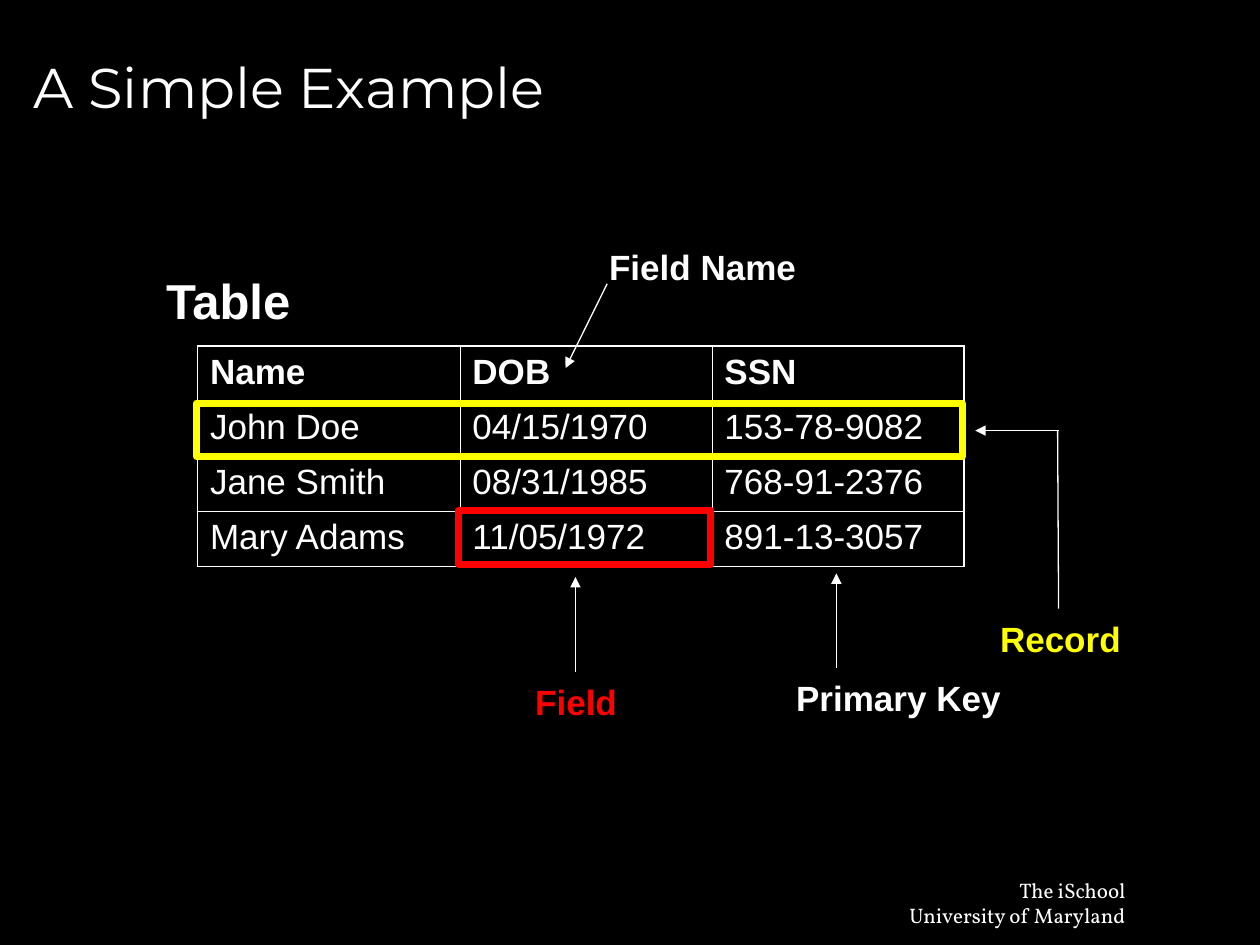
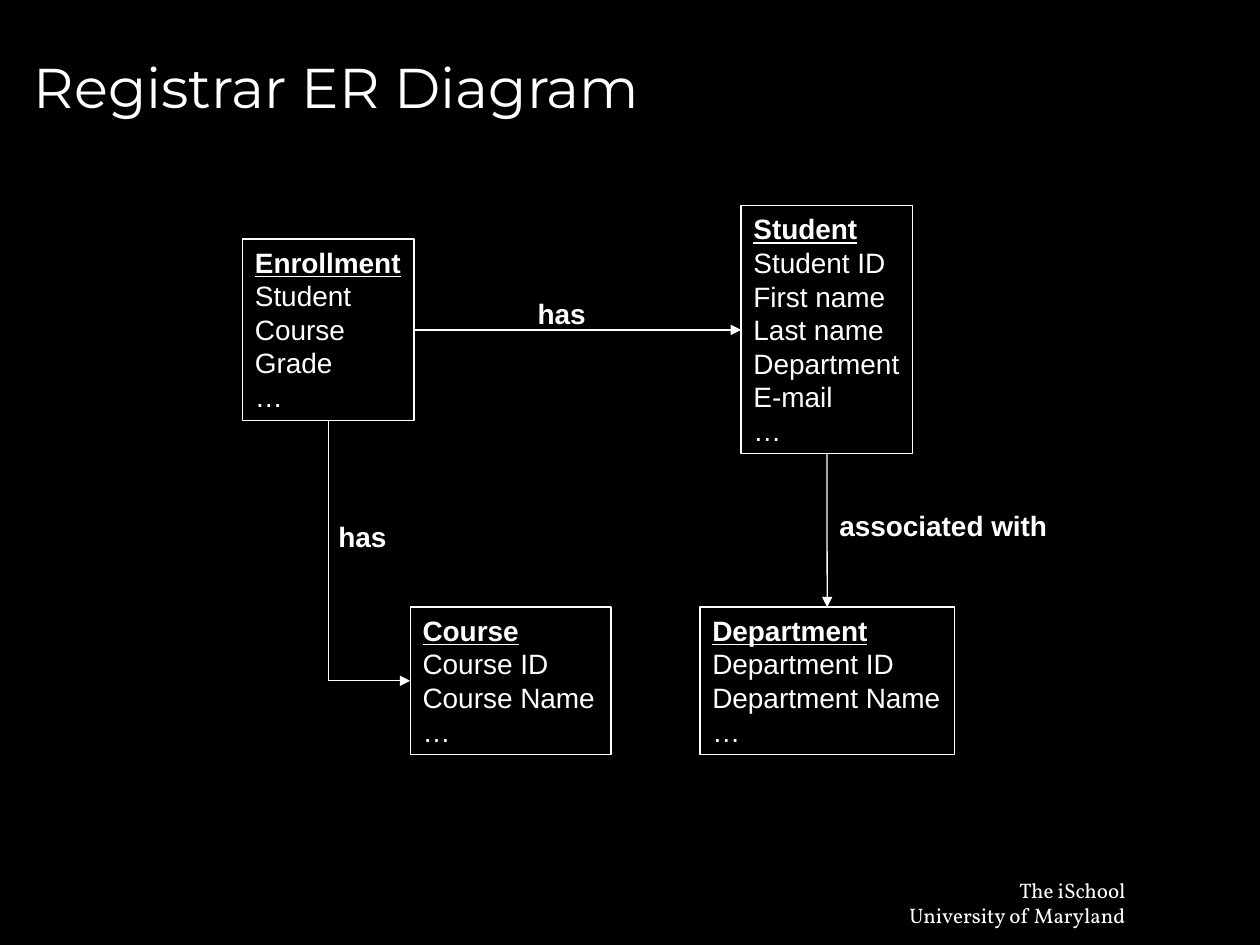
"""Build two database slides: a sample table and a registrar ER diagram."""
from lxml import etree
from pptx import Presentation
from pptx.dml.color import RGBColor
from pptx.enum import shapes, text
from pptx.oxml.ns import qn
from pptx.util import Cm, Pt

BLACK = RGBColor(0, 0, 0)
WHITE = RGBColor(255, 255, 255)
RED = RGBColor(255, 0, 0)
YELLOW = RGBColor(255, 255, 0)


def write(tf, lines, size, color=WHITE, bold=False, font="Arial", align=text.PP_ALIGN.LEFT, fit=True):
    if fit:
        tf.word_wrap = False
        tf.auto_size = text.MSO_AUTO_SIZE.SHAPE_TO_FIT_TEXT
        tf.vertical_anchor = text.MSO_ANCHOR.TOP
    for i, line in enumerate(lines):
        p = tf.paragraphs[0] if i == 0 else tf.add_paragraph()
        p.alignment = align
        r = p.add_run()
        r.text = line
        r.font.size = Pt(size)
        r.font.name = font
        r.font.bold = bold
        r.font.color.rgb = color


def connect(s, x1, y1, x2, y2, arrow=True):
    c = s.shapes.add_connector(shapes.MSO_CONNECTOR.STRAIGHT, Cm(x1), Cm(y1), Cm(x2), Cm(y2))
    c.line.color.rgb = WHITE
    c.line.width = Pt(0.75)
    spPr = c._element.spPr
    if arrow:
        etree.SubElement(spPr.find(qn("a:ln")), qn("a:tailEnd"), type="triangle")
    etree.SubElement(spPr, qn("a:effectLst"))
    return c


prs = Presentation()
prs.slide_width, prs.slide_height = Cm(25.4), Cm(19.05)

slides = []
for title in ("A Simple Example", "Registrar ER Diagram"):
    s = prs.slides.add_slide(prs.slide_layouts[6])
    s.background.fill.solid()
    s.background.fill.fore_color.rgb = BLACK
    tf = s.shapes.add_textbox(Cm(18), Cm(17.57), Cm(4.94), Cm(1.27)).text_frame
    write(tf, ["The iSchool", "University of Maryland"], 12, font="Vollkorn", align=text.PP_ALIGN.RIGHT)
    tf = s.shapes.add_textbox(Cm(0.43), Cm(0.32), Cm(24.13), Cm(2.84)).text_frame
    tf.word_wrap = True
    tf.vertical_anchor = text.MSO_ANCHOR.MIDDLE
    write(tf, [title], 32, font="Montserrat", fit=False)
    slides.append(s)
example, diagram = slides

rows = [
    ("Name", "DOB", "SSN"),
    ("John Doe", "04/15/1970", "153-78-9082"),
    ("Jane Smith", "08/31/1985", "768-91-2376"),
    ("Mary Adams", "11/05/1972", "891-13-3057"),
]
col_widths = (5.29, 5.08, 5.08)
row_height = 1.11
table = example.shapes.add_table(
    len(rows), len(col_widths), Cm(3.98), Cm(6.98), Cm(sum(col_widths)), Cm(row_height * len(rows))
).table
table.first_row = table.horz_banding = False
for j, width in enumerate(col_widths):
    table.columns[j].width = Cm(width)
for i, row in enumerate(rows):
    table.rows[i].height = Cm(row_height)
    for j, value in enumerate(row):
        cell = table.cell(i, j)
        write(cell.text_frame, [value], 20, bold=i == 0, fit=False)
        tcPr = cell._tc.get_or_add_tcPr()
        outer = {"L": j == 0, "R": j == len(row) - 1, "T": i == 0, "B": i == len(rows) - 1}
        for side, is_outer in outer.items():
            ln = etree.SubElement(tcPr, qn(f"a:ln{side}"), w=str(Pt(1.08 if is_outer else 0.45)))
            fill = etree.SubElement(ln, qn("a:solidFill"))
            etree.SubElement(fill, qn("a:srgbClr"), val=str(WHITE))
        cell.fill.background()

for x, y, w, h, label, size, color in (
    (10.54, 13.59, 2.2, 1.11, "Field", 20, RED),
    (12.03, 4.83, 4.4, 1.11, "Field Name", 20, WHITE),
    (19.91, 12.32, 3, 1.11, "Record", 20, YELLOW),
    (15.8, 13.51, 4.75, 1.11, "Primary Key", 20, WHITE),
    (3.1, 5.32, 3.1, 1.45, "Table", 28, WHITE),
):
    tf = example.shapes.add_textbox(Cm(x), Cm(y), Cm(w), Cm(h)).text_frame
    write(tf, [label], size, color, bold=True)

for x1, y1, x2, y2, arrow in (
    (11.6, 13.54, 11.6, 11.63, True),
    (12.24, 5.72, 11.4, 7.42, True),
    (21.34, 8.68, 19.66, 8.68, True),
    (21.32, 8.68, 21.34, 12.27, False),
    (16.86, 13.46, 16.86, 11.56, True),
):
    connect(example, x1, y1, x2, y2, arrow)

for x, y, w, h, color in ((9.25, 10.29, 5.08, 1.09, RED), (3.96, 8.13, 15.44, 1.07, YELLOW)):
    sp = example.shapes.add_shape(shapes.MSO_SHAPE.RECTANGLE, Cm(x), Cm(y), Cm(w), Cm(h))
    sp.shadow.inherit = False
    sp.fill.background()
    sp.line.color.rgb = color
    sp.line.width = Pt(4)

entities = {}
for x, y, w, h, name, fields in (
    (4.89, 4.82, 3.46, 3.66, "Enrollment", ["Student", "Course", "Grade"]),
    (14.94, 4.15, 3.46, 5, "Student", ["Student ID", "First name", "Last name", "Department", "E-mail"]),
    (8.27, 12.24, 4.05, 2.97, "Course", ["Course ID", "Course Name"]),
    (14.11, 12.24, 5.13, 2.97, "Department", ["Department ID", "Department Name"]),
):
    sp = diagram.shapes.add_shape(shapes.MSO_SHAPE.RECTANGLE, Cm(x), Cm(y), Cm(w), Cm(h))
    sp.shadow.inherit = False
    sp.fill.background()
    sp.line.color.rgb = WHITE
    sp.line.width = Pt(0.75)
    write(sp.text_frame, [name, *fields, "…"], 16)
    heading = sp.text_frame.paragraphs[0].runs[0].font
    heading.bold = heading.underline = True
    entities[name] = sp

for start, start_side, end, end_side in (
    ("Enrollment", 3, "Student", 1),
    ("Enrollment", 2, "Course", 1),
    ("Student", 2, "Department", 0),
):
    c = connect(diagram, 0, 0, 1, 1)
    c.begin_connect(entities[start], start_side)
    c.end_connect(entities[end], end_side)
    if end == "Course":
        dx, dy = c.width, c.height
        mid_x, mid_y = c.left + dx // 2, c.top + dy // 2
        c.left, c.top, c.width, c.height = mid_x - dy // 2, mid_y - dx // 2, dy, dx
        xfrm = c._element.spPr.find(qn("a:xfrm"))
        xfrm.set("rot", "16200000")
        xfrm.set("flipH", "1")
        c._element.spPr.find(qn("a:prstGeom")).set("prst", "bentConnector2")

for x, y, w, label in (
    (10.59, 5.85, 1.5, "has"),
    (6.57, 10.34, 1.5, "has"),
    (16.67, 10.13, 4.8, "associated with"),
):
    tf = diagram.shapes.add_textbox(Cm(x), Cm(y), Cm(w), Cm(0.94)).text_frame
    write(tf, [label], 16, bold=True)

prs.save("out.pptx")
